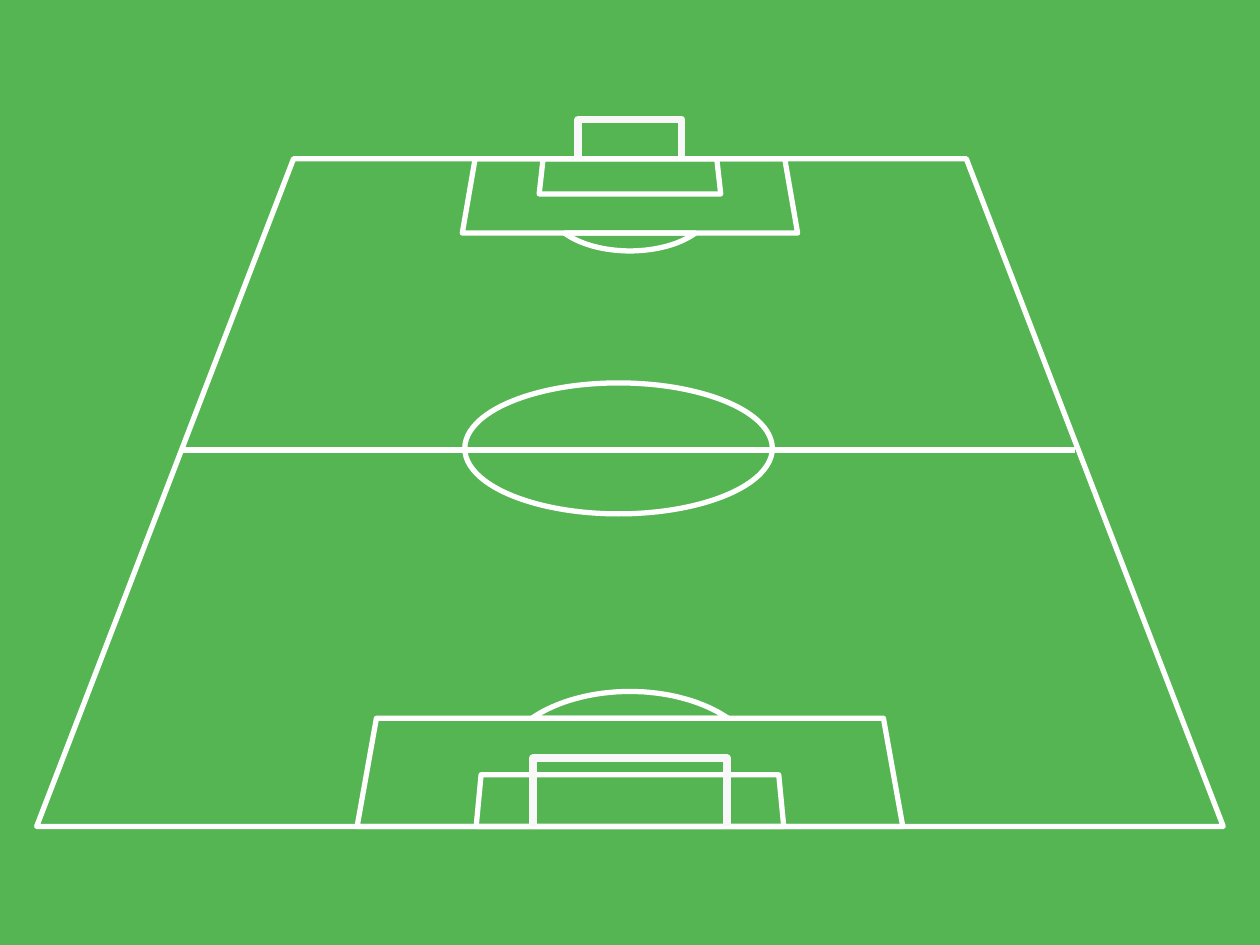
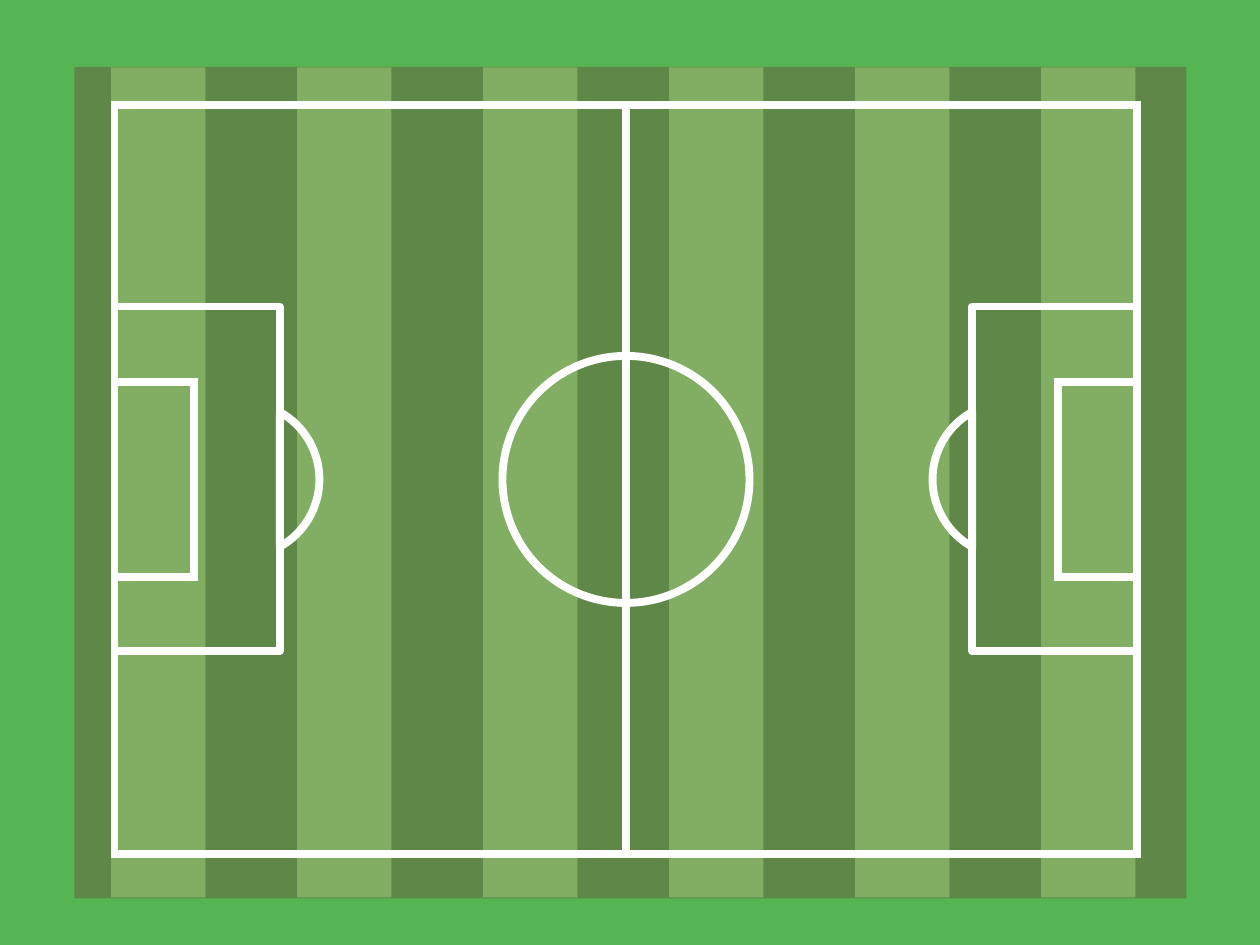
from dataclasses import dataclass
from math import cos, radians, sin

from lxml.etree import SubElement
from pptx import Presentation
from pptx.dml.color import RGBColor
from pptx.enum.shapes import MSO_CONNECTOR as Connector, MSO_SHAPE as Preset
from pptx.oxml.ns import qn
from pptx.util import Cm, Pt


@dataclass(frozen=True)
class Theme:
    """Colours and line widths shared by both pitches."""

    grass: RGBColor = RGBColor(0x55, 0xB5, 0x53)
    dark_turf: RGBColor = RGBColor(0x5F, 0x88, 0x48)
    light_turf: RGBColor = RGBColor(0x81, 0xAE, 0x62)
    white: RGBColor = RGBColor(0xFF, 0xFF, 0xFF)
    goal: RGBColor = RGBColor(0xF8, 0xF8, 0xF8)
    thin: float = 3
    thick: float = 4.5


@dataclass(frozen=True)
class Pen:
    """A line colour, its width in points and its corner style."""

    color: RGBColor
    width: float
    join: str = "round"


@dataclass(frozen=True)
class Box:
    """A rectangle in centimetres."""

    left: float
    top: float
    width: float
    height: float

    def mirrored(self, axis: float) -> "Box":
        """Return the box reflected in a vertical axis."""
        return Box(2 * axis - self.left - self.width, self.top, self.width, self.height)


@dataclass(frozen=True)
class Trapezoid:
    """A perspective area centred across the slide, in centimetres."""

    top: float
    top_half: float
    bottom: float
    bottom_half: float

    def corners(self) -> list[tuple[float, float]]:
        """List the corners from top left, anticlockwise."""
        return [
            (CENTER - self.top_half, self.top),
            (CENTER - self.bottom_half, self.bottom),
            (CENTER + self.bottom_half, self.bottom),
            (CENTER + self.top_half, self.top),
        ]


@dataclass(frozen=True)
class Cap:
    """A segment of an ellipse standing on a chord, in centimetres."""

    x: float
    y: float
    half_chord: float
    depth: float
    half_angle: float
    upright: bool = False

    def points(self, steps: int = 32) -> list[tuple[float, float]]:
        """Trace the arc from one chord end to the other."""
        limit = radians(self.half_angle)
        result = []
        for step in range(steps + 1):
            angle = limit * (2 * step / steps - 1)
            along = self.half_chord * sin(angle) / sin(limit)
            away = self.depth * (cos(angle) - cos(limit)) / (1 - cos(limit))
            across, down = (away, along) if self.upright else (along, away)
            result.append((self.x + across, self.y + down))
        return result


THEME = Theme()
WIDTH, HEIGHT = 25.4, 19.05
CENTER = WIDTH / 2
FAR, NEAR = 3.2, 16.66
THIN_PEN = Pen(THEME.white, THEME.thin)
THICK_PEN = Pen(THEME.white, THEME.thick)
SQUARE_PEN = Pen(THEME.white, THEME.thick, "miter")
GOAL_PEN = Pen(THEME.goal, THEME.thick)


def apply_pen(shape, pen: Pen) -> None:
    """Set line colour, width and corners."""
    shape.line.color.rgb = pen.color
    shape.line.width = Pt(pen.width)
    SubElement(shape.element.spPr.find(qn("a:ln")), qn(f"a:{pen.join}"))


def draw_outline(shapes, points: list[tuple[float, float]], pen: Pen, close: bool = True) -> None:
    """Draw an unfilled outline through the points."""
    corners = [(Cm(x), Cm(y)) for x, y in points]
    builder = shapes.build_freeform(*corners[0])
    builder.add_line_segments(corners[1:], close=close)
    shape = builder.convert_to_shape()
    shape.shadow.inherit = False
    shape.fill.background()
    apply_pen(shape, pen)


def add_preset(shapes, preset: Preset, box: Box):
    """Place a preset shape without a shadow."""
    shape = shapes.add_shape(
        preset, Cm(box.left), Cm(box.top), Cm(box.width), Cm(box.height)
    )
    shape.shadow.inherit = False
    return shape


def draw_marking(shapes, preset: Preset, box: Box, pen: Pen) -> None:
    """Draw an unfilled preset shape."""
    shape = add_preset(shapes, preset, box)
    shape.fill.background()
    apply_pen(shape, pen)


def draw_turf(shapes, box: Box, color: RGBColor) -> None:
    """Draw a plain filled rectangle."""
    shape = add_preset(shapes, Preset.RECTANGLE, box)
    shape.fill.solid()
    shape.fill.fore_color.rgb = color
    shape.line.fill.background()


def draw_line(shapes, left: float, right: float, y: float, pen: Pen) -> None:
    """Draw a level straight line."""
    line = shapes.add_connector(Connector.STRAIGHT, Cm(left), Cm(y), Cm(right), Cm(y))
    apply_pen(line, pen)
    SubElement(line.element.spPr, qn("a:effectLst"))


def add_pitch_slide(presentation):
    """Add a blank slide with the grass background."""
    slide = presentation.slides.add_slide(presentation.slide_layouts[6])
    slide.background.fill.solid()
    slide.background.fill.fore_color.rgb = THEME.grass
    return slide


def build_perspective_pitch(presentation) -> None:
    """Build the pitch seen from behind one goal."""
    slide = add_pitch_slide(presentation)
    markings = slide.shapes.add_group_shape().shapes
    near_half = Trapezoid(9.93, 9.37, NEAR, 11.96).corners()
    far_half = Trapezoid(FAR, 6.78, 9.93, 9.37).corners()
    draw_outline(markings, near_half, THIN_PEN, close=False)
    draw_outline(markings, [far_half[i] for i in (2, 3, 0, 1)], THIN_PEN, close=False)
    for cap in (Cap(CENTER, 14.48, 1.98, -0.54, 48), Cap(CENTER, 4.7, 1.32, 0.36, 53)):
        draw_outline(markings, cap.points(), THIN_PEN)
    for area in (
        Trapezoid(14.48, 5.11, NEAR, 5.5),
        Trapezoid(FAR, 3.12, 4.7, 3.38),
        Trapezoid(15.62, 3, NEAR, 3.1),
        Trapezoid(FAR, 1.75, 3.91, 1.83),
    ):
        draw_outline(markings, area.corners(), THIN_PEN)
    draw_line(markings, 3.66, 21.67, 9.07, THIN_PEN)
    draw_marking(markings, Preset.OVAL, Box(9.37, 7.72, 6.2, 2.64), THIN_PEN)
    for goal in (Trapezoid(2.41, 1.04, 3.15, 1.04), Trapezoid(15.29, 1.96, NEAR, 1.96)):
        top_left, bottom_left, bottom_right, top_right = goal.corners()
        frame = [bottom_left, top_left, top_right, bottom_right]
        draw_outline(slide.shapes, frame, GOAL_PEN, close=False)


def build_striped_pitch(presentation) -> None:
    """Build the striped pitch seen from above."""
    slide = add_pitch_slide(presentation)
    draw_turf(slide.shapes, Box(1.5, 1.35, 22.42, 16.76), THEME.dark_turf)
    for index in range(6):
        stripe = Box(2.24 + 3.75 * index, 1.36, 1.9, 16.73)
        draw_turf(slide.shapes, stripe, THEME.light_turf)

    markings = slide.shapes.add_group_shape().shapes
    half = Box(2.31, 2.11, 10.31, 15.11)
    axis = half.left + half.width
    middle = half.top + half.height / 2
    penalty_area = Box(half.left, 6.18, 3.33, 6.95)
    goal_area = Box(half.left, 7.7, 1.6, 3.93)
    radius = 2.49
    circle = Box(axis - radius, middle - radius, 2 * radius, 2 * radius)
    draw_marking(markings, Preset.OVAL, circle, THICK_PEN)
    for area, pen in ((half, SQUARE_PEN), (penalty_area, THICK_PEN), (goal_area, SQUARE_PEN)):
        for box in (area, area.mirrored(axis)):
            draw_marking(markings, Preset.RECTANGLE, box, pen)
    edge = penalty_area.left + penalty_area.width
    for x, depth in ((edge, 0.8), (2 * axis - edge, -0.8)):
        cap = Cap(x, middle, 1.36, depth, 61, upright=True)
        draw_outline(markings, cap.points(), THICK_PEN)


def main() -> None:
    """Build and save the presentation."""
    presentation = Presentation()
    presentation.slide_width = Cm(WIDTH)
    presentation.slide_height = Cm(HEIGHT)
    build_perspective_pitch(presentation)
    build_striped_pitch(presentation)
    presentation.save("out.pptx")


main()
